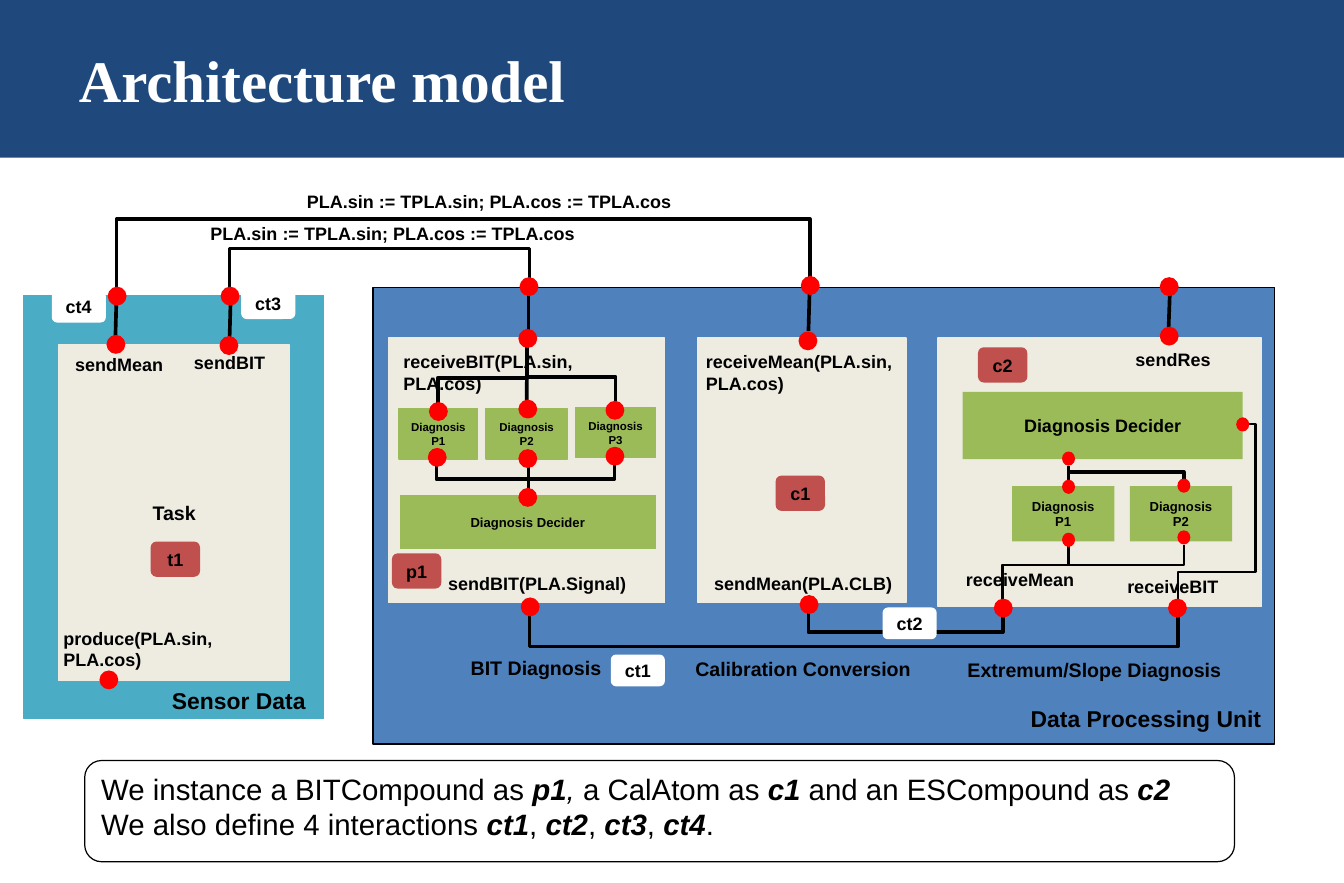
import dataclasses

import lxml.etree
import pptx
import pptx.dml.color
import pptx.enum.shapes
import pptx.enum.text
import pptx.oxml.ns
import pptx.util

Inches = pptx.util.Inches
Preset = pptx.enum.shapes.MSO_SHAPE
Align = pptx.enum.text.PP_ALIGN
Anchor = pptx.enum.text.MSO_ANCHOR
BLACK, WHITE, RED, NAVY = "000000", "FFFFFF", "FF0000", "1F497D"
BLUE, TEAL, CREAM, GREEN, BRICK = "4F81BD", "4BACC6", "EEECE1", "9BBB59", "C0504D"


@dataclasses.dataclass
class Box:
    left: float
    top: float
    width: float
    height: float
    fill: str
    line: str = ""
    text: str = ""
    size: float = 11
    inset: float = 0.1
    preset: int = Preset.RECTANGLE


@dataclasses.dataclass
class Label:
    left: float
    top: float
    width: float
    height: float
    text: str
    size: float = 11
    align: int = Align.LEFT
    wrap: bool = False


@dataclasses.dataclass
class Elbow:
    start: tuple[float, float]
    end: tuple[float, float]
    bends: tuple[float, ...] = ()
    weight: float = 2.25


PANELS = [
    Box(3.17, 2.44, 7.66, 3.88, BLUE, BLACK),
    Box(0.2, 2.51, 2.55, 3.59, TEAL, TEAL),
    Box(0.5, 2.93, 1.96, 2.85, CREAM, CREAM, "Task", 12),
    Box(3.3, 2.87, 2.35, 2.25, CREAM, CREAM),
    Box(5.93, 2.87, 1.77, 2.25, CREAM, CREAM),
    Box(7.97, 2.87, 2.75, 2.28, CREAM, CREAM),
]
BIT_P2 = Box(4.13, 3.47, 0.69, 0.43, GREEN, GREEN, "Diagnosis P2", 7, 0.08)
DIAGNOSES = [
    Box(3.39, 3.47, 0.67, 0.43, GREEN, GREEN, "Diagnosis P1", 7, 0.08),
    Box(4.89, 3.46, 0.68, 0.43, GREEN, GREEN, "Diagnosis P3", 7, 0.08),
    Box(3.39, 4.2, 2.19, 0.47, GREEN, CREAM, "Diagnosis Decider", 8),
    Box(8.18, 3.33, 2.38, 0.57, GREEN, text="Diagnosis Decider"),
    Box(8.6, 4.13, 0.87, 0.47, GREEN, text="Diagnosis P1", size=8),
    Box(9.6, 4.13, 0.87, 0.47, GREEN, text="Diagnosis P2", size=8),
]
ASSIGNMENT = "PLA.sin := TPLA.sin; PLA.cos := TPLA.cos"
LABELS = [
    Label(8.66, 5.94, 2.17, 0.34, "Data Processing Unit", 14),
    Label(1.36, 5.78, 1.34, 0.34, "Sensor Data", 14, Align.CENTER),
    Label(1.55, 2.94, 0.81, 0.29, "sendBIT"),
    Label(0.54, 2.95, 0.96, 0.29, "sendMean"),
    Label(3.71, 4.81, 1.73, 0.29, "sendBIT(PLA.Signal)"),
    Label(5.9, 2.93, 1.8, 0.47, "receiveMean(PLA.sin,\nPLA.cos)"),
    Label(5.97, 4.81, 1.73, 0.29, "sendMean(PLA.CLB)"),
    Label(9.55, 2.91, 0.85, 0.29, "sendRes"),
    Label(8.11, 4.78, 1.13, 0.29, "receiveMean"),
    Label(9.48, 4.84, 0.98, 0.29, "receiveBIT"),
    Label(1.69, 1.84, 3.32, 0.29, ASSIGNMENT),
    Label(2.51, 1.57, 3.32, 0.29, ASSIGNMENT),
    Label(3.33, 2.93, 2.29, 0.29, "receiveBIT(PLA.sin, PLA.cos)", wrap=True),
    Label(0.44, 5.28, 2.07, 0.47, "produce(PLA.sin, PLA.cos)", wrap=True),
    Label(3.89, 5.52, 1.33, 0.3, "BIT Diagnosis", 12, Align.CENTER),
    Label(5.8, 5.53, 2.05, 0.3, "Calibration Conversion", 12, Align.CENTER),
    Label(8.11, 5.54, 2.38, 0.3, "Extremum/Slope Diagnosis", 12, Align.CENTER),
]
ELBOWS = [
    Elbow((1.95, 2.52), (4.5, 2.36), (2.11,)),
    Elbow((0.99, 2.44), (6.88, 2.35), (1.86,)),
    Elbow((4.5, 5.22), (10.01, 5.24), (5.49,)),
    Elbow((6.87, 5.2), (8.52, 5.24), (5.37,)),
    Elbow((4.48, 2.8), (3.72, 3.47), (3.21,)),
    Elbow((4.48, 2.94), (5.23, 3.46), (3.2,)),
    Elbow((3.71, 3.96), (4.48, 4.07)),
    Elbow((5.22, 3.95), (4.5, 4.07)),
    Elbow((10.06, 4.08), (9.08, 4.01)),
    Elbow((8.52, 5.09), (9.08, 4.64), (4.8,), 1.5),
    Elbow((8.52, 5.1), (10.06, 4.63), (4.8,), 1.5),
    Elbow((10.01, 5.09), (10.61, 3.6), (4.86, 10.67), 1.5),
]
LINKS = [
    ((4.49, 2.82), (4.49, 2.44)), ((6.87, 2.81), (6.88, 2.44)),
    ((0.98, 2.89), (0.99, 2.52)), ((1.95, 2.9), (1.96, 2.53)),
    ((9.93, 2.78), (9.94, 2.5)), ((4.49, 4.15), (4.49, 3.96)),
    ((9.08, 4.08), (9.08, 3.96)),
]
PORTS = [
    (4.42, 2.36), (6.81, 2.35), (0.92, 2.44), (0.91, 2.85), (1.87, 2.86), (1.88, 2.44),
    (9.93, 5.09), (6.79, 2.82), (4.43, 5.08), (6.8, 5.06), (9.86, 2.78), (9.86, 2.36),
    (0.85, 5.7), (4.41, 2.8), (3.65, 3.42), (4.41, 3.4), (5.15, 3.41), (4.41, 4.15),
    (3.64, 3.81), (4.41, 3.82), (5.15, 3.8), (8.45, 5.09),
]
SMALL_PORTS = [(10.51, 3.55), (9.03, 3.84), (9.03, 4.53), (9.03, 4.08), (10.01, 4.07), (10.01, 4.51)]
INSTANCES = [("t1", 1.28, 4.6), ("p1", 3.33, 4.7), ("c1", 6.59, 4.04), ("c2", 8.31, 2.95)]
INTERACTIONS = [("ct1", 5.19, 5.56), ("ct2", 7.5, 5.16), ("ct3", 2.05, 2.44), ("ct4", 0.44, 2.47)]
SUMMARY = (
    "We instance a BITCompound as _*p1*, _a CalAtom as _*c1*_ and an ESCompound as _*c2*_\n"
    "We also define 4 interactions _*ct1*_, _*ct2*_, _*ct3*_, _*ct4*_."
)


def color(value: str) -> pptx.dml.color.RGBColor:
    return pptx.dml.color.RGBColor.from_string(value)


def write(shape, text: str, *, size=11, font="Arial", fill=BLACK, bold=True,
          align=Align.LEFT, anchor=Anchor.TOP, wrap=True, inset=0.1) -> None:
    frame = shape.text_frame
    frame.word_wrap = wrap
    frame.vertical_anchor = anchor
    frame.margin_left = frame.margin_right = Inches(inset)
    for index, line in enumerate(text.split("\n")):
        paragraph = frame.add_paragraph() if index else frame.paragraphs[0]
        paragraph.alignment = align
        for italic, part in enumerate(line.split("_")):
            for strong, piece in enumerate(part.split("*")):
                if piece:
                    run = paragraph.add_run()
                    run.text = piece
                    run.font.size = pptx.util.Pt(size)
                    run.font.name = font
                    run.font.color.rgb = color(fill)
                    run.font.bold = bold or strong % 2 == 1
                    run.font.italic = italic % 2 == 1


def draw_box(slide, box: Box):
    shape = slide.shapes.add_shape(box.preset, *map(Inches, (box.left, box.top, box.width, box.height)))
    shape.shadow.inherit = False
    shape.fill.solid()
    shape.fill.fore_color.rgb = color(box.fill)
    if box.line:
        shape.line.color.rgb = color(box.line)
        shape.line.width = pptx.util.Pt(0.75)
    else:
        shape.line.fill.background()
    if box.text:
        write(shape, box.text, size=box.size, align=Align.CENTER, anchor=Anchor.MIDDLE, inset=box.inset)
    return shape


def draw_label(slide, label: Label) -> None:
    shape = slide.shapes.add_textbox(*map(Inches, (label.left, label.top, label.width, label.height)))
    write(shape, label.text, size=label.size, align=label.align, wrap=label.wrap)
    shape.text_frame.auto_size = pptx.enum.text.MSO_AUTO_SIZE.SHAPE_TO_FIT_TEXT


def draw_link(slide, start, end, weight=2.25, kind=pptx.enum.shapes.MSO_CONNECTOR.STRAIGHT):
    connector = slide.shapes.add_connector(kind, *map(Inches, (*start, *end)))
    connector.line.color.rgb = color(BLACK)
    connector.line.width = pptx.util.Pt(weight)
    lxml.etree.SubElement(connector._element.spPr, pptx.oxml.ns.qn("a:effectLst"))
    return connector


def draw_elbow(slide, elbow: Elbow) -> None:
    (x1, y1), (x2, y2) = elbow.start, elbow.end
    across, down = x2 - x1, y2 - y1
    middle_x, middle_y = (x1 + x2) / 2, (y1 + y2) / 2
    half_width, half_height = abs(down) / 2, abs(across) / 2
    start = (middle_x - half_width, middle_y - half_height)
    end = (middle_x + half_width, middle_y + half_height)
    connector = draw_link(slide, start, end, elbow.weight, pptx.enum.shapes.MSO_CONNECTOR.ELBOW)
    transform = connector._element.spPr.find(pptx.oxml.ns.qn("a:xfrm"))
    transform.set("rot", "5400000")
    transform.set("flipH", str(int(down < 0)))
    transform.set("flipV", str(int(across > 0)))
    geometry = connector._element.spPr.find(pptx.oxml.ns.qn("a:prstGeom"))
    geometry.set("prst", f"bentConnector{len(elbow.bends) + 2}")
    guides = geometry.find(pptx.oxml.ns.qn("a:avLst"))
    for number, (bend, origin, extent) in enumerate(zip(elbow.bends, (y1, x1), (down, across)), 1):
        guide = lxml.etree.SubElement(guides, pptx.oxml.ns.qn("a:gd"))
        guide.set("name", f"adj{number}")
        guide.set("fmla", f"val {round((bend - origin) / extent * 100000)}")


def main() -> None:
    presentation = pptx.Presentation()
    presentation.slide_width, presentation.slide_height = Inches(11.42), Inches(7.5)
    slide = presentation.slides.add_slide(presentation.slide_layouts[5])
    banner = draw_box(slide, Box(0, 0, 11.42, 1.34, NAVY))
    slide.shapes._spTree.insert(2, banner._element)
    title = slide.shapes.title
    title.left, title.top, title.width, title.height = map(Inches, (0.57, 0.05, 10.28, 1.25))
    write(title, "Architecture model", size=36, font="Times New Roman", fill=WHITE, anchor=Anchor.MIDDLE)

    for panel in PANELS:
        draw_box(slide, panel)
    for label in LABELS:
        draw_label(slide, label)
    for diagnosis in DIAGNOSES:
        draw_box(slide, diagnosis)
    bit_p2 = draw_box(slide, BIT_P2)
    for elbow in ELBOWS:
        draw_elbow(slide, elbow)
    for start, end in LINKS:
        draw_link(slide, start, end)
    draw_link(slide, (4.48, 2.8), (4.48, 3.47)).end_connect(bit_p2, 0)
    for ports, width, height in ((PORTS, 0.15, 0.15), (SMALL_PORTS, 0.1, 0.11)):
        for left, top in ports:
            draw_box(slide, Box(left, top, width, height, RED, RED, preset=Preset.FLOWCHART_CONNECTOR))
    for tags, width, height, fill in ((INSTANCES, 0.42, 0.3, BRICK), (INTERACTIONS, 0.46, 0.27, WHITE)):
        for name, left, top in tags:
            draw_box(slide, Box(left, top, width, height, fill, text=name, preset=Preset.ROUNDED_RECTANGLE))
    summary = draw_box(slide, Box(0.72, 6.46, 9.77, 0.86, WHITE, BLACK, preset=Preset.ROUNDED_RECTANGLE))
    write(summary, SUMMARY, size=18, bold=False)
    presentation.save("out.pptx")


if __name__ == "__main__":
    main()
